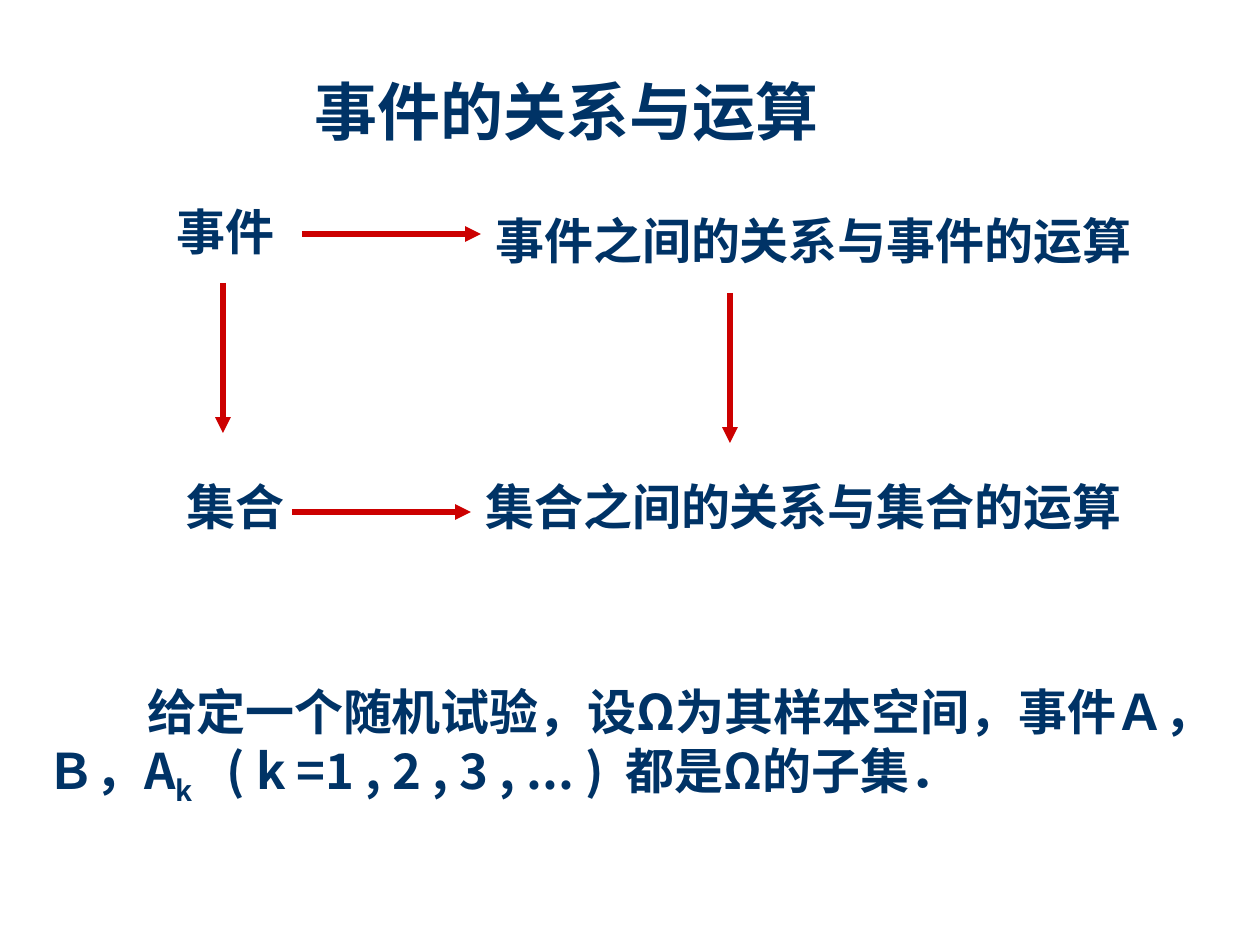
from lxml import etree
from pptx import Presentation
from pptx.dml.color import RGBColor
from pptx.enum.shapes import MSO_CONNECTOR
from pptx.enum.text import MSO_ANCHOR, MSO_AUTO_SIZE, PP_ALIGN
from pptx.oxml.ns import qn
from pptx.util import Emu, Pt

NAVY = RGBColor(0x00, 0x33, 0x66)
RED = RGBColor(0xCC, 0x00, 0x00)
LATIN = "Times New Roman"
HAN = "Noto Sans CJK SC"
STRAIGHT = MSO_CONNECTOR.STRAIGHT
TOP, MIDDLE = MSO_ANCHOR.TOP, MSO_ANCHOR.MIDDLE
GROW = MSO_AUTO_SIZE.SHAPE_TO_FIT_TEXT
LEFT = PP_ALIGN.LEFT
PX_PER_INCH = 126


def px(length):
    """Turn whole pixels into EMU."""
    return Emu(round(length * 914400 / PX_PER_INCH))


def add_span(para, text, size=28, font=LATIN, color=NAVY, baseline=0, spacing=0):
    """Add one bold run of text to a paragraph."""
    span = para.add_run()
    span.text = text
    span.font.size = Pt(size)
    span.font.bold = True
    span.font.color.rgb = color
    span.font.name = font
    properties = span._r.get_or_add_rPr()
    etree.SubElement(properties, qn("a:ea")).set("typeface", HAN)
    if baseline:
        properties.set("baseline", str(baseline * 1000))
    if spacing:
        properties.set("spc", str(spacing * 100))


class SlideBuilder:
    """Holds the style and the current slide."""

    def __init__(self, deck):
        """Start a title-only slide."""
        self.slide = deck.slides.add_slide(deck.slide_layouts[5])
        self.arrow_color = RED
        self.arrow_width = Pt(3)

    def frame(self, box, wrap, anchor):
        """Set up a text frame and return its first paragraph."""
        frame = box.text_frame
        frame.word_wrap = wrap
        frame.auto_size = GROW
        frame.vertical_anchor = anchor
        para = frame.paragraphs[0]
        para.alignment = LEFT
        return para

    def title(self, text, left, top, width, height):
        """Place and fill the title placeholder."""
        box = self.slide.shapes.title
        box.left, box.top, box.width, box.height = map(px, (left, top, width, height))
        add_span(self.frame(box, True, MIDDLE), text, size=36)

    def label(self, text, left, top, width, height):
        """Add a one-line label."""
        box = self.slide.shapes.add_textbox(*map(px, (left, top, width, height)))
        add_span(self.frame(box, False, TOP), text)

    def statement(self, spans, left, top, width, height, indent):
        """Add a paragraph with an indented first line."""
        box = self.slide.shapes.add_textbox(*map(px, (left, top, width, height)))
        para = self.frame(box, True, MIDDLE)
        properties = para._p.get_or_add_pPr()
        properties.set("marL", "0")
        properties.set("indent", str(px(indent)))
        for text, style in spans:
            add_span(para, text, font=HAN, **style)

    def arrow(self, left, top, across=0, down=0):
        """Add a straight arrow of the given run."""
        ends = map(px, (left, top, left + across, top + down))
        line = self.slide.shapes.add_connector(STRAIGHT, *ends)
        line.line.color.rgb = self.arrow_color
        line.line.width = self.arrow_width
        properties = line._element.spPr
        etree.SubElement(properties.find(qn("a:ln")), qn("a:tailEnd"), type="triangle")
        etree.SubElement(properties, qn("a:effectLst"))


def main():
    """Build the slide on relations and operations of events."""
    deck = Presentation()
    deck.slide_width, deck.slide_height = px(1260), px(945)
    page = SlideBuilder(deck)
    page.title("事件的关系与运算", 302, 66, 794, 88)
    page.statement(
        [
            ("给定一个随机试验，设Ω为其样本空间，事件Ａ，Ｂ，A", {}),
            ("k", {"baseline": -25}),
            (" ", {"spacing": 13}),
            ("( k =1 , 2 , 3 , ... )", {}),
            (" ", {"spacing": 6}),
            ("都是Ω的子集．", {}),
        ],
        34, 671, 1146, 147, indent=101,
    )
    for text, left, top, width in (
        ("事件", 164, 195, 128),
        ("事件之间的关系与事件的运算", 483, 204, 666),
        ("集合", 174, 470, 128),
        ("集合之间的关系与集合的运算", 473, 470, 666),
    ):
        page.label(text, left, top, width, 72)
    for left, top in ((223, 283), (730, 293)):
        page.arrow(left, top, down=150)
    for left, top in ((302, 234), (292, 512)):
        page.arrow(left, top, across=179)
    deck.save("out.pptx")


if __name__ == "__main__":
    main()
